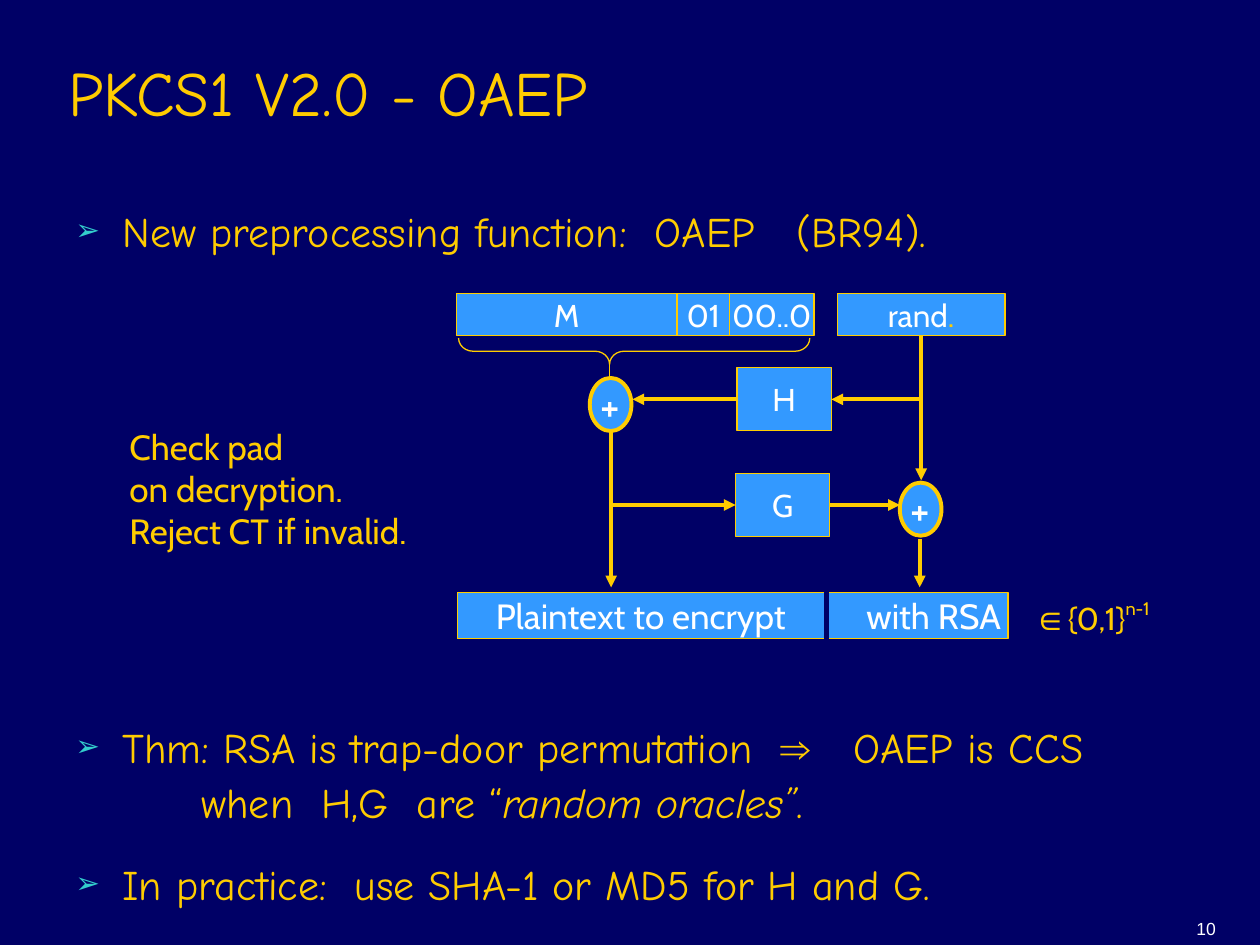
from dataclasses import dataclass

from pptx import Presentation
from pptx.dml.color import RGBColor
from pptx.enum.shapes import MSO_CONNECTOR as Connector, MSO_SHAPE as Shape
from pptx.enum.text import MSO_ANCHOR as Anchor, MSO_AUTO_SIZE as AutoSize, PP_ALIGN as Align
from pptx.oxml.ns import qn
from pptx.util import Cm, Pt
from lxml.etree import SubElement

TOP, LEFT, BOTTOM, RIGHT = range(4)


@dataclass(frozen=True)
class Theme:
    back: str = "000066"
    ink: str = "FFCC00"
    light: str = "FFFFFF"
    block: str = "3399FF"
    bullet: str = "33CCCC"
    script_font: str = "Comic Neue"
    label_font: str = "Cabin"
    plain_font: str = "Arial"
    title: int = 36
    body: int = 24
    note: int = 20
    label: int = 18
    number: int = 10
    thin: float = 0.75
    thick: float = 2.25
    divider: float = 3


def write(para, text, font, size, color, italic=False, raised=0):
    """Add text to a paragraph; a newline becomes a line break."""
    for index, line in enumerate(text.split("\n")):
        if index:
            para.add_line_break()
        span = para.add_run()
        span.text = line
        span.font.name = font
        span.font.size = Pt(size)
        span.font.italic = italic
        span.font.color.rgb = RGBColor.from_string(color)
        if raised:
            span.font._element.set("baseline", str(raised * 1000))


def set_tabs(para, *stops):
    tabs = SubElement(para._p.get_or_add_pPr(), qn("a:tabLst"))
    for stop in stops:
        SubElement(tabs, qn("a:tab"), pos=str(Cm(stop)), algn="l")


class SlideBuilder:
    def __init__(self, theme, slide):
        self.theme = theme
        self.slide = slide
        fill = slide.background.fill
        fill.solid()
        fill.fore_color.rgb = RGBColor.from_string(theme.back)

    def title(self, text, left, top, width, height):
        box = self.slide.shapes.title
        box.left, box.top, box.width, box.height = map(Cm, (left, top, width, height))
        frame = box.text_frame
        frame.auto_size = AutoSize.NONE
        frame.vertical_anchor = Anchor.BOTTOM
        para = frame.paragraphs[0]
        para.alignment = Align.LEFT
        write(para, text, self.theme.script_font, self.theme.title, self.theme.ink)

    def text_box(self, left, top, width, height, wrap=True, before=0):
        """Add a text box and return its first paragraph."""
        box = self.slide.shapes.add_textbox(*map(Cm, (left, top, width, height)))
        frame = box.text_frame
        frame.word_wrap = wrap
        frame.auto_size = AutoSize.NONE if wrap else AutoSize.SHAPE_TO_FIT_TEXT
        para = frame.paragraphs[0]
        para.space_before = Pt(before)
        return para

    def bullets(self, items, left, top, width, height):
        """Items are (space before, line spacing, [(text, format), ...])."""
        theme = self.theme
        first = self.text_box(left, top, width, height)
        frame = first._parent
        for index, (before, spacing, spans) in enumerate(items):
            para = frame.add_paragraph() if index else first
            para.space_before = Pt(before)
            para.line_spacing = spacing
            props = para._p.get_or_add_pPr()
            props.set("marL", str(Cm(0.95)))
            props.set("indent", str(Cm(-0.95)))
            color = SubElement(props, qn("a:buClr"))
            SubElement(color, qn("a:srgbClr"), val=theme.bullet)
            SubElement(props, qn("a:buSzPct"), val="70000")
            SubElement(props, qn("a:buFont"), typeface=theme.plain_font)
            SubElement(props, qn("a:buChar"), char="➢")
            set_tabs(para, *(2.54 * n for n in range(1, 9)))
            for text, style in spans:
                write(para, text, **{"font": theme.script_font, "size": theme.body,
                                     "color": theme.ink, **style})

    def shape(self, kind, left, top, width, height, line, filled=True):
        item = self.slide.shapes.add_shape(kind, *map(Cm, (left, top, width, height)))
        item.shadow.inherit = False
        if filled:
            item.fill.solid()
            item.fill.fore_color.rgb = RGBColor.from_string(self.theme.block)
        else:
            item.fill.background()
        item.line.color.rgb = RGBColor.from_string(self.theme.ink)
        item.line.width = Pt(line)
        return item

    def block(self, text, left, top, width, height, size=None, before=11.25,
              kind=Shape.RECTANGLE, line=None):
        theme = self.theme
        item = self.shape(kind, left, top, width, height, line or theme.thin)
        frame = item.text_frame
        frame.word_wrap = False
        frame.vertical_anchor = Anchor.MIDDLE
        para = frame.paragraphs[0]
        para.alignment = Align.CENTER
        para.space_before = Pt(before)
        write(para, text, theme.label_font, size or theme.label, theme.light)
        return item

    def xor(self, left, top):
        return self.block("+", left, top, 0.84, 1.07, self.theme.body, 15,
                          Shape.OVAL, self.theme.thick)

    def line(self, start, end, color=None, width=None, arrow=True):
        """Each end is an (x, y) point or a (shape, side) pair."""
        points = [(0, 0) if hasattr(spot[0], "width") else spot for spot in (start, end)]
        item = self.slide.shapes.add_connector(
            Connector.STRAIGHT, *(Cm(value) for point in points for value in point))
        for spot, join in ((start, item.begin_connect), (end, item.end_connect)):
            if hasattr(spot[0], "width"):
                join(*spot)
        item.line.color.rgb = RGBColor.from_string(color or self.theme.ink)
        item.line.width = Pt(width or self.theme.thick)
        SubElement(item._element.spPr, qn("a:effectLst"))
        if arrow:
            SubElement(item.line._get_or_add_ln(), qn("a:tailEnd"), type="triangle")


def draw_diagram(page, theme):
    row_top, row_height = 5.92, 0.84
    left_x, right_x, hash_y, mask_y, arrow_end = 12.32, 18.57, 8.05, 10.18, 11.84

    hash_box = page.block("H", 14.86, hash_y - 0.635, 1.9, 1.27)
    mask_box = page.block("G", 14.83, mask_y - 0.635, 1.9, 1.27)
    rand_box = page.block("rand", right_x - 1.69, row_top, 3.38, row_height)
    write(rand_box.text_frame.paragraphs[0], ".", theme.label_font, theme.label, theme.ink)
    for text, left, width in (("M", 9.2, 4.45), ("01", 13.65, 1.06), ("00..0", 14.71, 1.7)):
        page.block(text, left, row_top, width, row_height)
    page.xor(11.89, 7.62)
    page.xor(18.14, 9.73)

    output = page.block("Plaintext to encrypt\twith RSA", 9.22, 11.94, 11.1, 0.94,
                        theme.note, 12.5)
    para = output.text_frame.paragraphs[0]
    para._p.get_or_add_pPr().set("marL", str(Cm(0.64)))
    set_tabs(para, 0, 7.47, *(2.54 * n for n in range(3, 9)))

    for start, end in (
        ((rand_box, BOTTOM), (right_x, 9.68)),
        ((hash_box, LEFT), (12.75, hash_y)),
        ((right_x, hash_y), (hash_box, RIGHT)),
        ((mask_box, RIGHT), (18.14, mask_y)),
        ((left_x, mask_y), (mask_box, LEFT)),
        ((left_x, 8.69), (left_x, arrow_end)),
        ((18.54, 10.87), (18.54, arrow_end)),
    ):
        page.line(start, end)

    brace = page.shape(Shape.LEFT_BRACE, 12.52, 3.54, 0.53, 7.08, theme.thin, filled=False)
    brace.rotation = 270
    brace.adjustments[0], brace.adjustments[1] = 0.55, 0.43
    page.line((12.29, 7.32), (12.29, 7.6), width=theme.thin, arrow=False)
    page.line((16.66, 11.89), (16.66, 12.98), theme.back, theme.divider, arrow=False)


def main():
    deck = Presentation()
    deck.slide_width, deck.slide_height = Cm(25.4), Cm(19.05)
    theme = Theme()
    page = SlideBuilder(theme, deck.slides.add_slide(deck.slide_layouts[5]))

    page.title("PKCS1 V2.0 - OAEP", 1.12, 0.63, 21.59, 2.11)
    page.bullets([
        (6, 1.0, [("New preprocessing function:  OAEP   (BR94).", {})]),
        (263, 1.1, [
            ("Thm: RSA is trap-door permutation  ", {}),
            ("⇒", {"font": theme.plain_font}),
            ("   OAEP is CCS \n\twhen  H,G  are “", {}),
            ("random oracles”", {"italic": True}),
            (".", {}),
        ]),
        (15, 1.1, [("In practice:  use SHA-1 or MD5 for H and G.", {})]),
    ], 1.27, 4.02, 24.13, 14.6)
    draw_diagram(page, theme)

    note = page.text_box(2.36, 8.46, 6.71, 2.79, wrap=False, before=12.5)
    write(note, "Check pad\non decryption.\nReject CT if invalid.",
          theme.label_font, theme.note, theme.ink)

    domain = page.text_box(20.57, 11.89, 2.95, 1.12, wrap=False, before=11.25)
    write(domain, "∈", theme.plain_font, theme.note, theme.ink)
    write(domain, "{0,1}", theme.label_font, theme.label, theme.ink)
    write(domain, "n-1", theme.label_font, theme.label, theme.ink, raised=50)

    number = page.text_box(19.48, 17.78, 5.28, 1.27, before=6.25)
    number._parent.vertical_anchor = Anchor.BOTTOM
    number.alignment = Align.RIGHT
    write(number, "10", theme.plain_font, theme.number, theme.light)

    deck.save("out.pptx")


if __name__ == "__main__":
    main()
